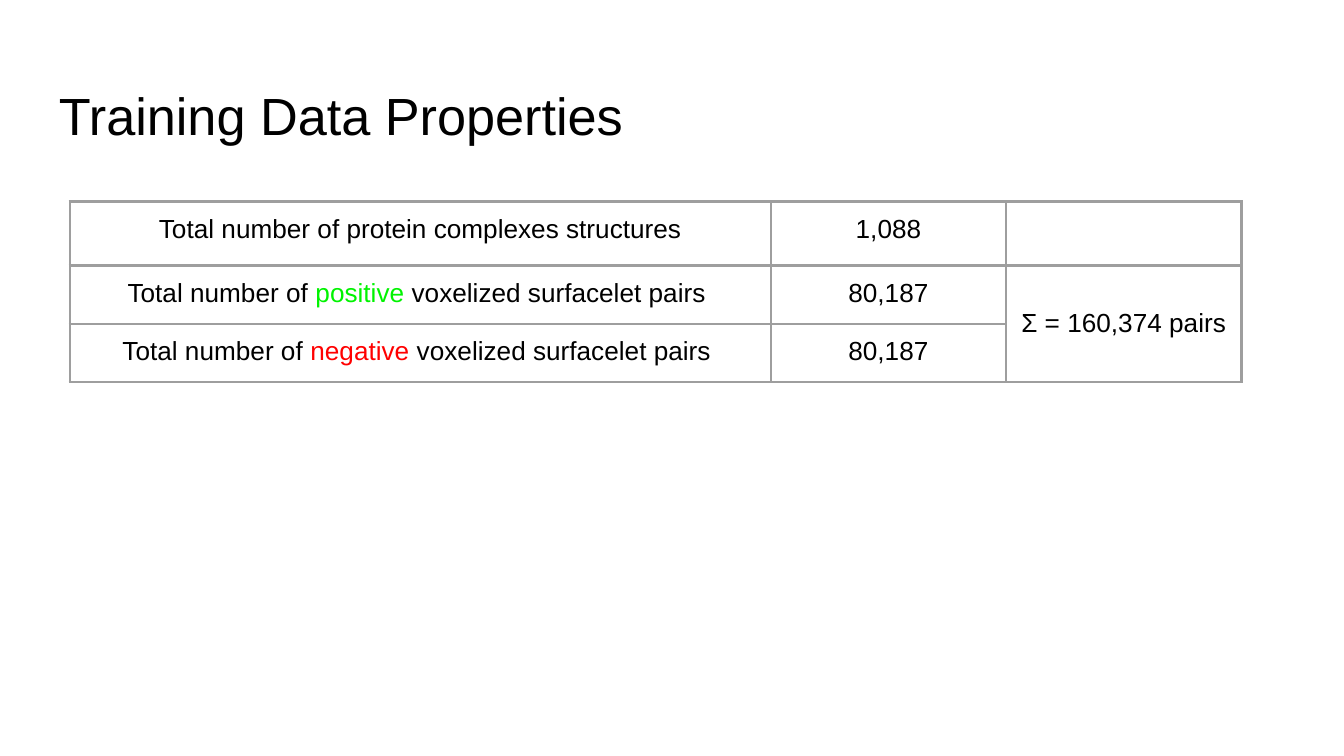
from dataclasses import dataclass

from lxml import etree
from pptx import Presentation
from pptx.dml.color import RGBColor
from pptx.enum.text import MSO_ANCHOR, PP_ALIGN
from pptx.oxml.ns import qn
from pptx.util import Pt

LEFT, CENTER = PP_ALIGN.LEFT, PP_ALIGN.CENTER
TOP, MIDDLE = MSO_ANCHOR.TOP, MSO_ANCHOR.MIDDLE
BORDER_SIDES = ("a:lnL", "a:lnR", "a:lnT", "a:lnB")


@dataclass(frozen=True)
class Theme:
    font: str = "Arial"
    ink: str = "000000"
    positive: str = "00F300"
    negative: str = "FF0000"
    border: str = "9E9E9E"
    border_width: float = 1.5
    title_size: float = 28
    table_size: float = 14
    inset: float = 7.2


def write_text(frame, parts, *, theme, size, align=LEFT):
    """Write (text, colour) parts as the runs of one paragraph."""
    para = frame.paragraphs[0]
    para.alignment = align
    para.font.size = Pt(size)
    for text, color in parts:
        span = para.add_run()
        span.text = text
        span.font.name = theme.font
        span.font.size = Pt(size)
        span.font.color.rgb = RGBColor.from_string(color)


class SlideBuilder:
    def __init__(self, slide, theme):
        self.slide = slide
        self.theme = theme

    def title(self, text, left, top, width, height):
        box = self.slide.shapes.add_textbox(Pt(left), Pt(top), Pt(width), Pt(height))
        frame = box.text_frame
        frame.word_wrap = True
        frame.vertical_anchor = TOP
        frame.margin_left = frame.margin_right = frame.margin_bottom = Pt(self.theme.inset)
        frame.margin_top = Pt(9.5)
        write_text(frame, [(text, self.theme.ink)], theme=self.theme,
                   size=self.theme.title_size)

    def table(self, rows, left, top, widths, heights):
        frame = self.slide.shapes.add_table(
            len(heights), len(widths), Pt(left), Pt(top), Pt(sum(widths)), Pt(sum(heights)))
        table = frame.table
        table.first_row = table.horz_banding = False
        for column, width in zip(table.columns, widths):
            column.width = Pt(width)
        for row, height in zip(table.rows, heights):
            row.height = Pt(height)
        for r, row in enumerate(rows):
            for c, parts in enumerate(row):
                self.cell(table.cell(r, c), parts)
        return table

    def cell(self, cell, parts):
        inset = Pt(self.theme.inset)
        cell.margin_left = cell.margin_right = inset
        cell.margin_top = cell.margin_bottom = inset
        write_text(cell.text_frame, parts, theme=self.theme,
                   size=self.theme.table_size, align=CENTER)
        # Borders come before the fill in the cell properties
        properties = cell._tc.get_or_add_tcPr()
        for side in BORDER_SIDES:
            line = etree.SubElement(properties, qn(side), w=str(Pt(self.theme.border_width)))
            fill = etree.SubElement(line, qn("a:solidFill"))
            etree.SubElement(fill, qn("a:srgbClr"), val=self.theme.border)
        cell.fill.background()


def main():
    theme = Theme()
    deck = Presentation()
    deck.slide_width, deck.slide_height = Pt(720), Pt(405)
    page = SlideBuilder(deck.slides.add_slide(deck.slide_layouts[6]), theme)

    # Heading
    page.title("Training Data Properties", 24.5, 35.3, 671, 45.4)

    # Data counts, with the sum spanning both kinds of pairs
    def pairs_label(kind, color):
        return [("Total number of ", theme.ink), (f"{kind} ", color),
                ("voxelized surfacelet pairs ", theme.ink)]

    pair_count = [("80,187", theme.ink)]
    rows = [
        [[("Total number of protein complexes structures", theme.ink)],
         [("1,088", theme.ink)], []],
        [pairs_label("positive", theme.positive), pair_count,
         [("Σ = 160,374 pairs", theme.ink)]],
        [pairs_label("negative", theme.negative), pair_count, []],
    ]
    table = page.table(rows, 37.4, 108, [375.6, 126, 126], [34.2, 30.4, 31])
    total = table.cell(1, 2)
    total.merge(table.cell(2, 2))
    total.vertical_anchor = MIDDLE

    deck.save("out.pptx")


if __name__ == "__main__":
    main()
